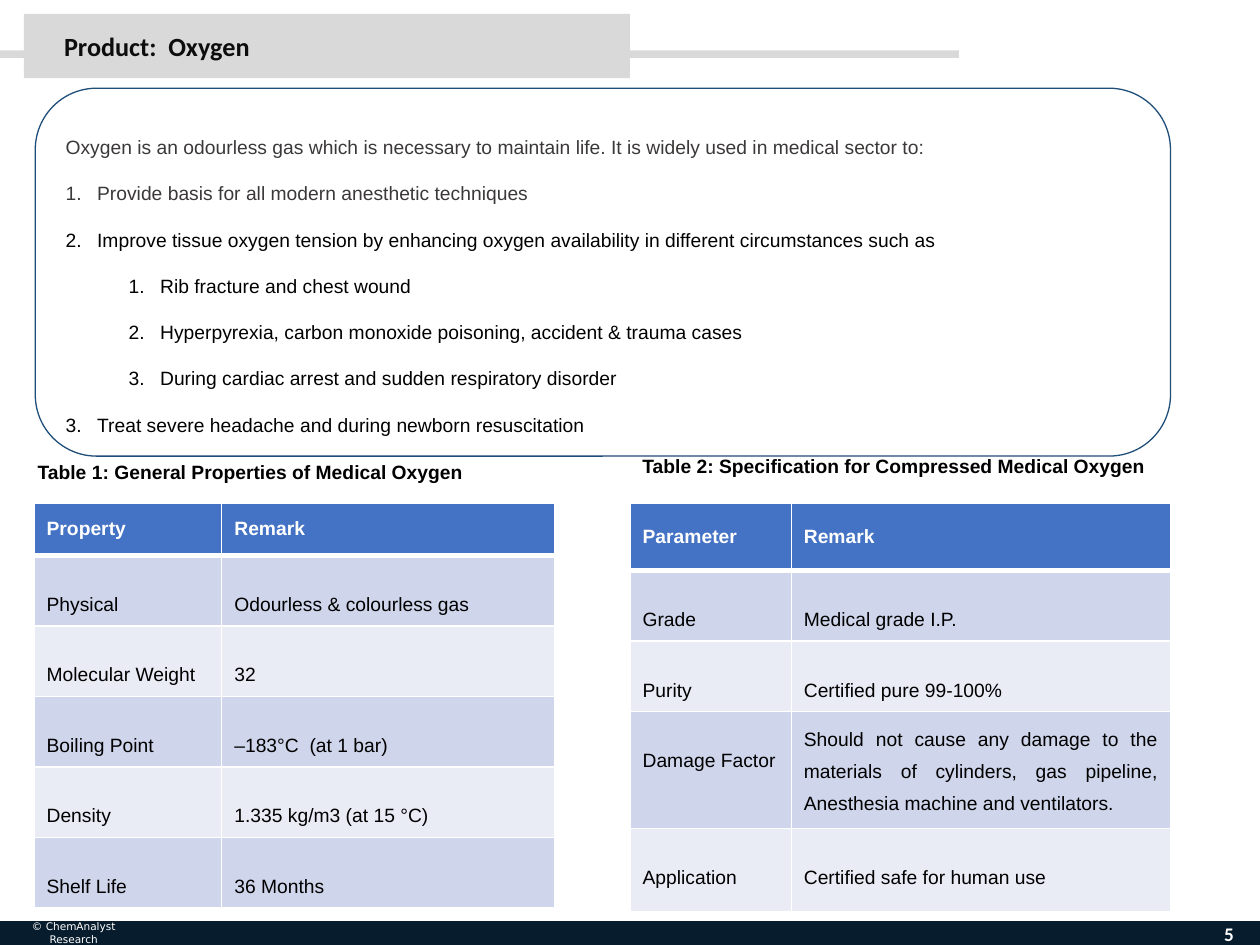
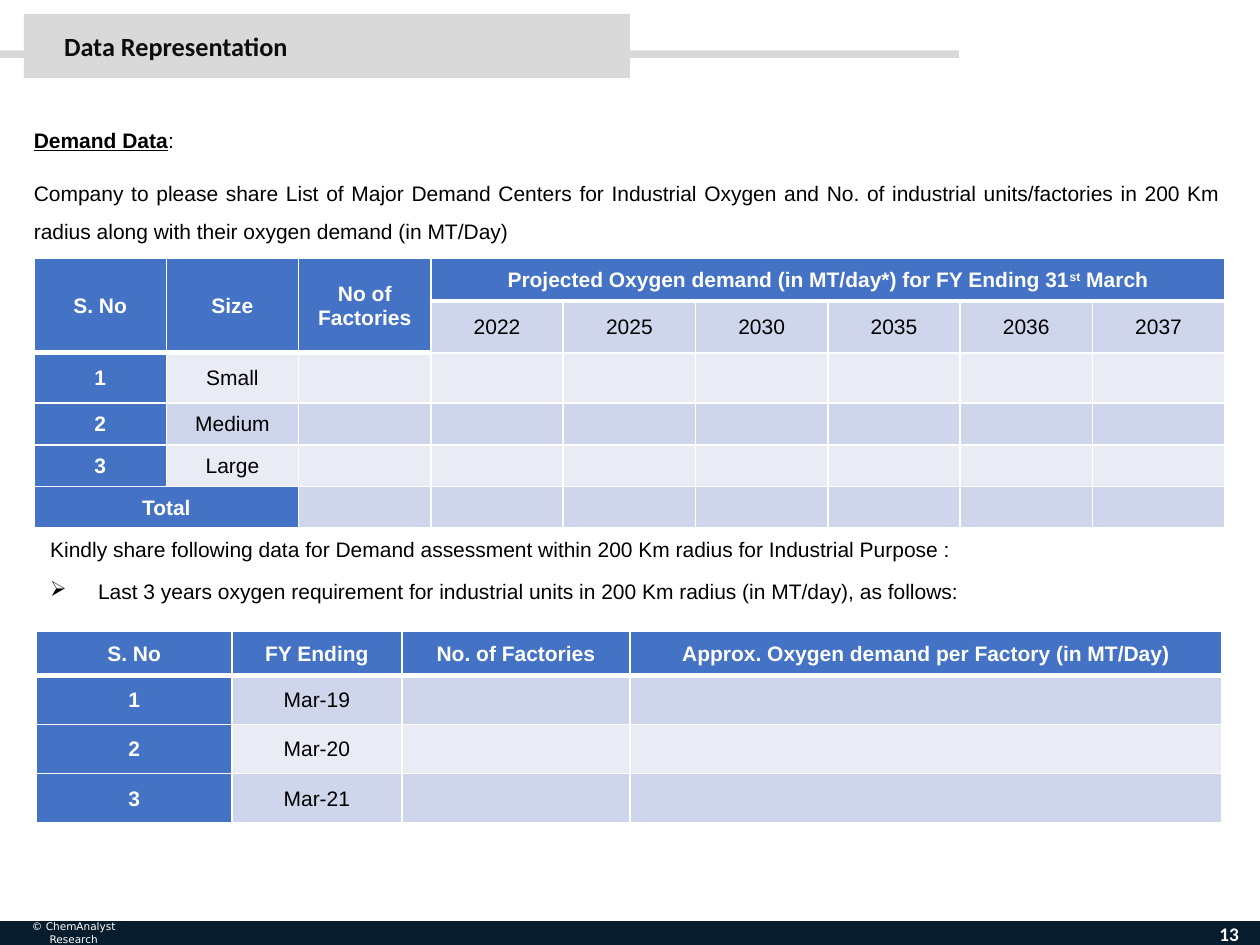
import pptx
import pptx.dml.color
import pptx.enum.shapes
import pptx.enum.text
import pptx.oxml.ns
import pptx.util
import lxml.etree

Inches = pptx.util.Inches
Pt = pptx.util.Pt
RGB = pptx.dml.color.RGBColor.from_string
ALIGN = pptx.enum.text.PP_ALIGN
ANCHOR = pptx.enum.text.MSO_ANCHOR
SHAPE = pptx.enum.shapes.MSO_SHAPE
qn = pptx.oxml.ns.qn


class Theme:
    grey, navy, outline = "D9D9D9", "071C2C", "1F4E79"
    header, band_dark, band_light = "4472C4", "CFD5EA", "E9EBF5"
    white, black, intro_text = "FFFFFF", "000000", "3B3838"
    title = {"name": "Calibri", "size": Pt(15), "bold": True, "color": "0D0D0D"}
    page = {"name": "Calibri", "size": Pt(11), "bold": True, "color": white}
    copyright = {"name": "DejaVu Sans", "size": Pt(6), "color": white}
    small = {"name": "Arial", "size": Pt(11), "bold": False, "color": black}
    body = {"name": "Arial", "size": Pt(12), "bold": False, "color": black}
    header_text = {"bold": True, "color": white}
    thin, thick = Pt(1), Pt(3)


def write(frame, paragraphs, font, layout):
    frame.word_wrap = True
    for number, (content, extra) in enumerate(paragraphs):
        paragraph = frame.paragraphs[0] if number == 0 else frame.add_paragraph()
        values = {**layout, **extra}
        bullet = values.pop("bullet", None)
        for name, value in values.items():
            setattr(paragraph, name, value)
        if bullet:
            tag, attributes, left, hang = bullet
            properties = paragraph._p.get_or_add_pPr()
            properties.set("marL", str(Inches(left)))
            properties.set("indent", str(-Inches(hang)))
            lxml.etree.SubElement(properties, qn(tag), attributes)
        runs = [(content, {})] if isinstance(content, str) else content
        for text, overrides in runs:
            run = paragraph.add_run()
            run.text = text
            for name, value in {**font, **overrides}.items():
                if name == "color":
                    run.font.color.rgb = RGB(value)
                elif name == "baseline":
                    run._r.get_or_add_rPr().set(name, value)
                else:
                    setattr(run.font, name, value)


def add_grid(slide, left, top, widths, heights, rows, font, layout,
             merges=(), number_column=False, margins=None):
    grid = slide.shapes.add_table(
        len(rows), len(widths), Inches(left), Inches(top),
        Inches(sum(widths)), Inches(sum(heights))).table
    for column, width in zip(grid.columns, widths):
        column.width = Inches(width)
    for row, height in zip(grid.rows, heights):
        row.height = Inches(height)
    for first, last in merges:
        grid.cell(*first).merge(grid.cell(*last))
    for r, row in enumerate(rows):
        for c, content in enumerate(row):
            cell = grid.cell(r, c)
            is_header = r == 0 or cell.is_spanned or (number_column and c == 0)
            band = Theme.band_dark if r % 2 else Theme.band_light
            if margins:
                for side, margin in margins.items():
                    setattr(cell, "margin_" + side, Inches(margin))
            if is_header or number_column:
                cell.vertical_anchor = ANCHOR.MIDDLE
            if content:
                write(cell.text_frame, [(content, {})],
                      {**font, **(Theme.header_text if is_header else {})},
                      {**layout, "line_spacing": 1.0} if is_header else layout)
            properties = cell._tc.get_or_add_tcPr()
            for side in "LRTB":
                width = Theme.thick if r == 0 and side == "B" else Theme.thin
                border = lxml.etree.SubElement(
                    properties, qn("a:ln" + side), {"w": str(width)})
                paint = lxml.etree.SubElement(border, qn("a:solidFill"))
                lxml.etree.SubElement(paint, qn("a:srgbClr"), {"val": Theme.white})
            cell.fill.solid()
            cell.fill.fore_color.rgb = RGB(Theme.header if is_header else band)
    return grid


deck = pptx.Presentation()
deck.slide_width, deck.slide_height = Inches(10), Inches(7.5)

bands = [
    (0, 0.4, 7.61, 0.06, Theme.grey),
    (0.19, 0.11, 4.81, 0.51, Theme.grey),
    (0, 7.31, 10, 0.19, Theme.navy),
]
slides = []
for title, page in [("Product:  Oxygen", "5"), ("Data Representation", "13")]:
    slide = deck.slides.add_slide(deck.slide_layouts[6])
    slides.append(slide)
    for *place, colour in bands:
        band = slide.shapes.add_shape(SHAPE.RECTANGLE, *map(Inches, place))
        band.shadow.inherit = False
        band.fill.solid()
        band.fill.fore_color.rgb = RGB(colour)
        band.line.fill.background()
    for text, place, font, align in [
        ("© ChemAnalyst Research", (0, 7.33, 1.17, 0.15), Theme.copyright, ALIGN.CENTER),
        (page, (9.51, 7.21, 0.49, 0.4), Theme.page, ALIGN.CENTER),
        (title, (0.41, 0.19, 5.52, 0.35), Theme.title, ALIGN.LEFT),
    ]:
        frame = slide.shapes.add_textbox(*map(Inches, place)).text_frame
        frame.vertical_anchor = ANCHOR.MIDDLE
        write(frame, [(text, {})], font, {"alignment": align})
oxygen, demand = slides

uses = oxygen.shapes.add_shape(
    SHAPE.ROUNDED_RECTANGLE, Inches(0.28), Inches(0.7), Inches(9.01), Inches(2.92))
uses.shadow.inherit = False
uses.fill.background()
uses.line.color.rgb = RGB(Theme.outline)
uses.line.width = Pt(0.75)
uses.text_frame.vertical_anchor = ANCHOR.TOP
numbering = {"type": "arabicPeriod"}
use = {"bullet": ("a:buAutoNum", numbering, 0.25, 0.25)}
case = {"bullet": ("a:buAutoNum", numbering, 0.75, 0.25), "level": 1}
intro = {"color": Theme.intro_text}
write(uses.text_frame, [
    ([("Oxygen is an odourless gas which is necessary to maintain life. "
       "It is widely used in medical sector to:", intro)], {}),
    ([("Provide basis for all modern anesthetic techniques", intro)], use),
    ("Improve tissue oxygen tension by enhancing oxygen availability "
     "in different circumstances such as", use),
    ("Rib fracture and chest wound", case),
    ("Hyperpyrexia, carbon monoxide poisoning, accident & trauma cases", case),
    ("During cardiac arrest and sudden respiratory disorder", case),
    ("Treat severe headache and during newborn resuscitation", use),
], Theme.small, {"alignment": ALIGN.JUSTIFY, "line_spacing": 2.0})

for caption, left, top in [
    ("Table 1: General Properties of Medical Oxygen", 0.2, 3.6),
    ("Table 2: Specification for Compressed Medical Oxygen", 5, 3.56),
]:
    frame = oxygen.shapes.add_textbox(
        Inches(left), Inches(top), Inches(4.94), Inches(0.29)).text_frame
    write(frame, [(caption, {})], {**Theme.small, "bold": True}, {})

spacious = {"line_spacing": 2.5}
add_grid(oxygen, 0.27, 3.99, [1.49, 2.64], [0.42] + [0.52] * 5, [
    ["Property", "Remark"],
    ["Physical", "Odourless & colourless gas"],
    ["Molecular Weight", "32"],
    ["Boiling Point", "–183°C  (at 1 bar)"],
    ["Density", "1.335 kg/m3 (at 15 °C)"],
    ["Shelf Life", "36 Months"],
], Theme.small, spacious)
specification = add_grid(
    oxygen, 5, 3.99, [1.28, 3.01], [0.54, 0.47, 0.47, 0.86, 0.66], [
        ["Parameter", "Remark"],
        ["Grade", "Medical grade I.P."],
        ["Purity", "Certified pure 99-100%"],
        ["Damage Factor", "Should not cause any damage to the materials of cylinders, "
         "gas pipeline, Anesthesia machine and ventilators."],
        ["Application", "Certified safe for human use"],
    ], Theme.small, spacious)
damage_remark = specification.cell(3, 1).text_frame.paragraphs[0]
damage_remark.line_spacing = 1.5
damage_remark.alignment = ALIGN.JUSTIFY

request = demand.shapes.add_textbox(
    Inches(0.17), Inches(0.86), Inches(9.62), Inches(1.1)).text_frame
write(request, [
    ([("Demand Data", {"bold": True, "underline": True}), (":", {})], {}),
    ("Company to please share List of Major Demand Centers for Industrial Oxygen and "
     "No. of industrial units/factories in 200 Km radius along with their oxygen "
     "demand (in MT/Day)", {"space_before": Pt(3.8)}),
], Theme.body, {"alignment": ALIGN.JUSTIFY, "line_spacing": 1.5, "space_after": Pt(5)})

centred = {"alignment": ALIGN.CENTER}
tight = {"left": 0.01, "top": 0.01, "right": 0.01, "bottom": 0}
projection = [("Projected Oxygen demand (in MT/day*) for FY Ending 31", {}),
              ("st", {"baseline": "30000"}), (" March", {})]
years = ["2022", "2025", "2030", "2035", "2036", "2037"]
sizes = ["Small", "Medium", "Large"]
add_grid(
    demand, 0.27, 2.05, [1.05] * 9, [0.34, 0.33, 0.4, 0.33, 0.33, 0.33],
    [["S. No", "Size", "No of Factories", projection] + [None] * 5,
     [None] * 3 + years]
    + [[str(n), size] + [None] * 7 for n, size in enumerate(sizes, 1)]
    + [["Total"] + [None] * 8],
    Theme.body, centred,
    merges=[((0, c), (1, c)) for c in range(3)] + [((0, 3), (0, 8)), ((5, 0), (5, 1))],
    number_column=True, margins=tight)

history = demand.shapes.add_textbox(
    Inches(0.3), Inches(4.21), Inches(9.4), Inches(0.62)).text_frame
write(history, [
    ("Kindly share following data for Demand assessment within 200 Km radius "
     "for Industrial Purpose :", {}),
    ("Last 3 years oxygen requirement for industrial units in 200 Km radius "
     "(in MT/day), as follows:",
     {"line_spacing": 1.15, "space_before": Pt(3.8),
      "bullet": ("a:buChar", {"char": "➢"}, 0.38, 0.38)}),
], Theme.body, {"space_after": Pt(3.8)})

year_ends = ["Mar-19", "Mar-20", "Mar-21"]
add_grid(
    demand, 0.29, 5.01, [1.55, 1.35, 1.81, 4.7], [0.35] + [0.39] * 3,
    [["S. No", "FY Ending", "No. of Factories",
      "Approx. Oxygen demand per Factory (in MT/Day)"]]
    + [[str(n), year_end, None, None] for n, year_end in enumerate(year_ends, 1)],
    Theme.body, centred, number_column=True, margins=tight)

deck.save("out.pptx")
